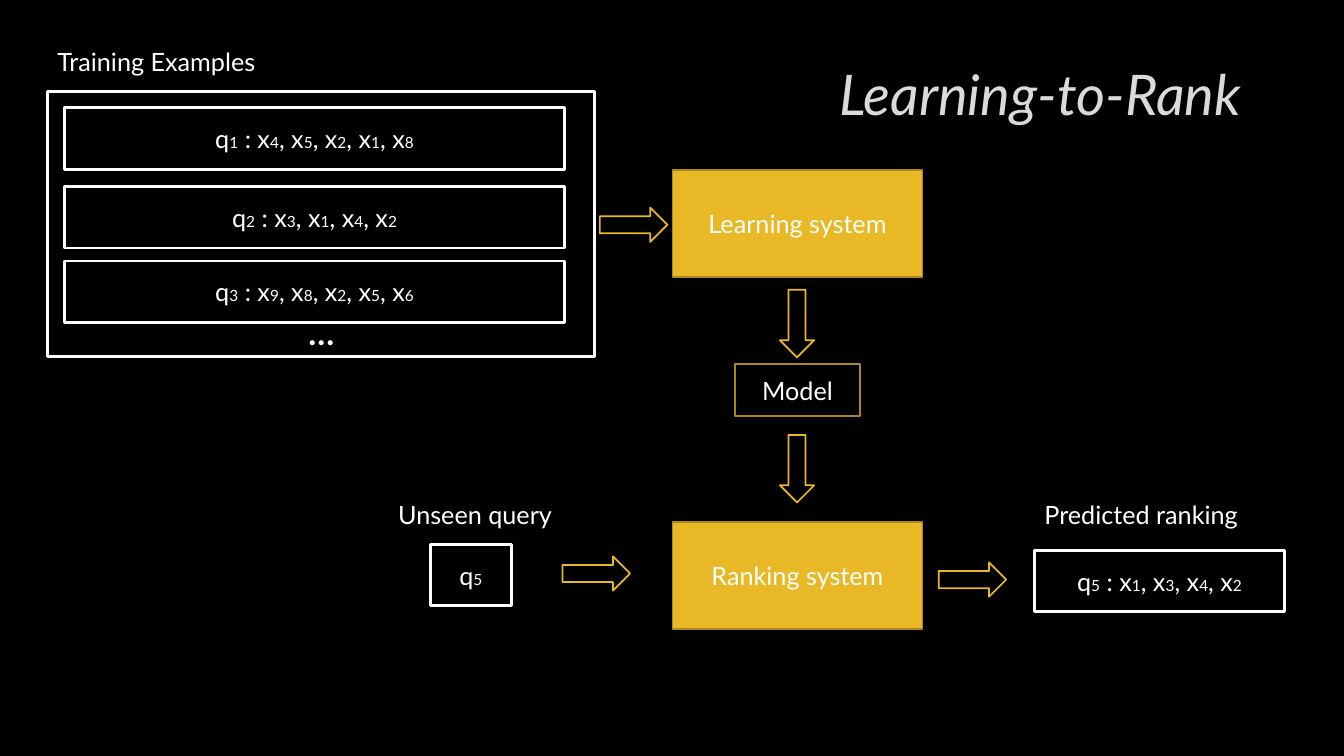
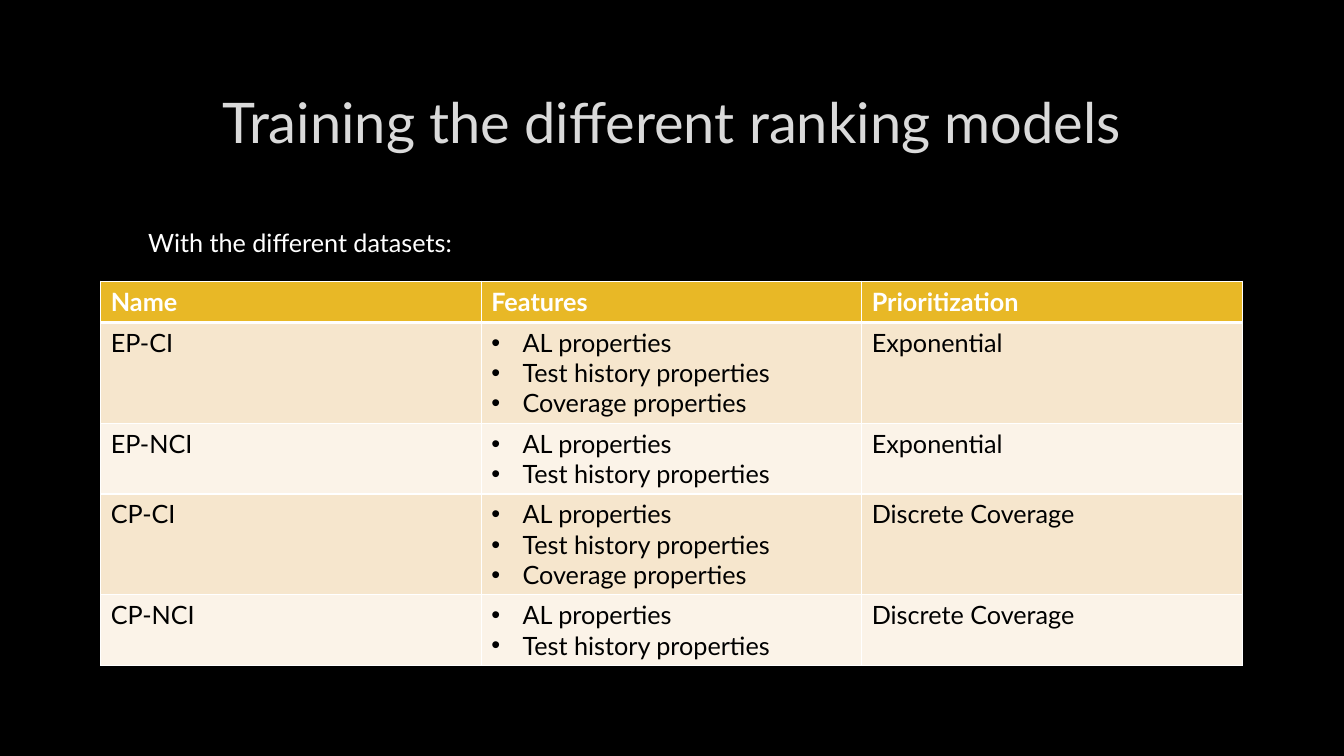
from itertools import groupby

from lxml import etree
from pptx import Presentation
from pptx.dml.color import RGBColor
from pptx.enum.shapes import MSO_SHAPE
from pptx.enum.text import MSO_ANCHOR, MSO_AUTO_SIZE, PP_ALIGN
from pptx.oxml.ns import qn
from pptx.util import Pt

PX = 9144
SLIDE_WIDTH, SLIDE_HEIGHT = 1333, 750
RECTANGLE, ARROW = MSO_SHAPE.RECTANGLE, MSO_SHAPE.RIGHT_ARROW
MIDDLE, FIT_SHAPE = MSO_ANCHOR.MIDDLE, MSO_AUTO_SIZE.SHAPE_TO_FIT_TEXT
LEFT, CENTER, RIGHT = PP_ALIGN.LEFT, PP_ALIGN.CENTER, PP_ALIGN.RIGHT
TITLE_ONLY = 5

FONT = "Lato"
BLACK, WHITE, GOLD, DARK_GOLD = "000000", "FFFFFF", "E8B826", "AC881C"
TITLE_GREY, OUTLINE_GREY = "DADADA", "404040"
BANDS = ("F6E6CD", "FBF3E8")
TEXT_SIZE, INDEX_SIZE, TITLE_SIZE, DOTS_SIZE = 18, 11, 40, 24
WHITE_FRAME = {"line": WHITE, "weight": 2}
GOLD_FRAME = {"line": DARK_GOLD, "weight": 1.25}
ARROW_WIDTH, ARROW_HEIGHT = 67, 34
LABEL_WIDTH, LABEL_HEIGHT = 232, 40
SYSTEM_WIDTH, SYSTEM_HEIGHT = 248, 106
FORMULA_HEIGHT = 61
BULLET_INDENT = 31

EXAMPLES = {
    66: "q1 : x4, x5, x2, x1, x8",
    144: "q2 : x3, x1, x4, x2",
    218: "q3 : x9, x8, x2, x5, x6",
}
HEADINGS = ("Name", "Features", "Prioritization")
FEATURES = ("AL properties", "Test history properties", "Coverage properties")
DATASETS = (
    ("EP-CI", FEATURES, "Exponential"),
    ("EP-NCI", FEATURES[:2], "Exponential"),
    ("CP-CI", FEATURES, "Discrete Coverage"),
    ("CP-NCI", FEATURES[:2], "Discrete Coverage"),
)


def color(value):
    """Turn a hex string into a colour."""
    return RGBColor.from_string(value)


def assign(target, values):
    """Set every named attribute on the target."""
    for name, value in values.items():
        setattr(target, name, value)


def place(shape, left, top, width, height):
    """Move and size a shape given in px."""
    assign(shape, {"left": left * PX, "top": top * PX,
                   "width": width * PX, "height": height * PX})


def add_run(paragraph, text, size=TEXT_SIZE, ink=WHITE, **style):
    """Append a formatted run to a paragraph."""
    run = paragraph.add_run()
    run.text = text
    assign(run.font, {"name": FONT, "size": Pt(size), **style})
    run.font.color.rgb = color(ink)
    return run


def add_title(slide, text, box, align, **style):
    """Place the title placeholder and fill it with outlined text."""
    title = slide.shapes.title
    place(title, *box)
    assign(title.text_frame, {"vertical_anchor": MIDDLE, "word_wrap": True})
    paragraph = title.text_frame.paragraphs[0]
    paragraph.alignment = align
    run = add_run(paragraph, text, TITLE_SIZE, TITLE_GREY, **style)
    line = etree.Element(qn("a:ln"), w=str(Pt(0.75)))
    fill = etree.SubElement(line, qn("a:solidFill"))
    ink = etree.SubElement(fill, qn("a:srgbClr"), val=OUTLINE_GREY)
    etree.SubElement(ink, qn("a:alpha"), val="10000")
    run.font._element.insert(0, line)


def add_label(slide, text, left, top, width=LABEL_WIDTH, height=LABEL_HEIGHT, **style):
    """Add a left-aligned text box."""
    label = slide.shapes.add_textbox(0, 0, 0, 0)
    place(label, left, top, width, height)
    assign(label.text_frame, {"word_wrap": True, "auto_size": FIT_SHAPE})
    add_run(label.text_frame.paragraphs[0], text, **style)


def add_outline(slide, kind, box, line, weight, fill=None):
    """Add a preset shape with a coloured line and an optional fill."""
    shape = slide.shapes.add_shape(kind, 0, 0, 0, 0)
    place(shape, *box)
    shape.shadow.inherit = False
    shape.line.color.rgb = color(line)
    shape.line.width = Pt(weight)
    if fill:
        shape.fill.solid()
        shape.fill.fore_color.rgb = color(fill)
    else:
        shape.fill.background()
    return shape


def add_text_box(slide, text, box, frame, fill=None, small_digits=False):
    """Add a framed rectangle with centred text, its digits small if asked."""
    shape = add_outline(slide, RECTANGLE, box, fill=fill, **frame)
    assign(shape.text_frame, {"vertical_anchor": MIDDLE, "word_wrap": True})
    paragraph = shape.text_frame.paragraphs[0]
    paragraph.alignment = CENTER
    for is_digit, letters in groupby(text, str.isdigit):
        size = INDEX_SIZE if small_digits and is_digit else TEXT_SIZE
        add_run(paragraph, "".join(letters), size)


def add_formula(slide, text, left, top, width):
    """Add a white frame holding a query and its ranked items."""
    box = (left, top, width, FORMULA_HEIGHT)
    add_text_box(slide, text, box, WHITE_FRAME, small_digits=True)


def add_arrow(slide, left, top, rotation=0):
    """Add a hollow gold block arrow."""
    box = (left, top, ARROW_WIDTH, ARROW_HEIGHT)
    add_outline(slide, ARROW, box, GOLD, 1.25).rotation = rotation


def add_training_examples(slide, left, top, width, height):
    """Draw the labelled frame of training examples."""
    add_label(slide, "Training Examples", left, top)
    add_outline(slide, RECTANGLE, (left, top + 50, width, height - 50), **WHITE_FRAME)
    for offset, text in EXAMPLES.items():
        add_formula(slide, text, left + 17, top + offset, width - 47)
    add_label(slide, "…", left + 249, top + 264, 211, 50, size=DOTS_SIZE, bold=True)


def add_pipeline(slide, left, top, height):
    """Draw the learning system, the model and the ranking system."""
    systems = {"Learning system": top, "Ranking system": top + height - SYSTEM_HEIGHT}
    for text, system_top in systems.items():
        box = (left, system_top, SYSTEM_WIDTH, SYSTEM_HEIGHT)
        add_text_box(slide, text, box, GOLD_FRAME, GOLD)
    model_width = SYSTEM_WIDTH // 2
    model_box = (left + model_width // 2, top + 192, model_width, 52)
    add_text_box(slide, "Model", model_box, GOLD_FRAME)
    for offset in (135, 279):
        add_arrow(slide, left + (SYSTEM_WIDTH - ARROW_WIDTH) // 2, top + offset, 90)


def add_unseen_query(slide, left, top):
    """Draw the labelled query that enters the ranking system."""
    add_label(slide, "Unseen query", left, top)
    add_formula(slide, "q5", left + 42, top + 50, 80)
    add_arrow(slide, left + 173, top + 62)


def add_predicted_ranking(slide, left, top):
    """Draw the labelled ranking that leaves the ranking system."""
    add_arrow(slide, left - 95, top + 68)
    add_label(slide, "Predicted ranking", left, top)
    add_formula(slide, "q5 : x1, x3, x4, x2", left, top + 56, SYSTEM_WIDTH)


def add_borders(cell, **weights):
    """Give a cell white borders of the stated widths."""
    properties = cell._tc.get_or_add_tcPr()
    for index, (side, weight) in enumerate(weights.items()):
        line = etree.Element(qn(f"a:ln{side}"), w=str(Pt(weight)))
        fill = etree.SubElement(line, qn("a:solidFill"))
        etree.SubElement(fill, qn("a:srgbClr"), val=WHITE)
        properties.insert(index, line)


def add_bullet(paragraph):
    """Give a paragraph a hanging bullet."""
    properties = paragraph._p.get_or_add_pPr()
    properties.set("marL", str(BULLET_INDENT * PX))
    properties.set("indent", str(-BULLET_INDENT * PX))
    etree.SubElement(properties, qn("a:buFont"), typeface="Arial")
    etree.SubElement(properties, qn("a:buChar"), char="•")


def fill_cell(cell, content, row):
    """Fill a table cell with one line or a bulleted list."""
    is_heading = row == 0
    cell.fill.solid()
    cell.fill.fore_color.rgb = color(GOLD if is_heading else BANDS[(row - 1) % 2])
    add_borders(cell, L=1, R=1, T=3 if row == 1 else 1, B=3 if is_heading else 1)
    is_list = not isinstance(content, str)
    frame = cell.text_frame
    for index, text in enumerate(content if is_list else (content,)):
        paragraph = frame.add_paragraph() if index else frame.paragraphs[0]
        paragraph.alignment = LEFT
        if is_list:
            add_bullet(paragraph)
        add_run(paragraph, text, ink=WHITE if is_heading else BLACK, bold=is_heading)


def add_dataset_table(slide, left, top, width):
    """Draw the table of datasets, each row as tall as its feature list."""
    rows = (HEADINGS, *DATASETS)
    heights = [41] + [10 + 30 * len(features) for _, features, _ in DATASETS]
    graphic = slide.shapes.add_table(len(rows), len(HEADINGS), left * PX, top * PX,
                                     width * PX, sum(heights) * PX)
    table = graphic.table
    for row, (contents, height) in enumerate(zip(rows, heights)):
        table.rows[row].height = height * PX
        for column, content in enumerate(contents):
            fill_cell(table.cell(row, column), content, row)


def build_diagram_slide(slide):
    """Build the learning-to-rank diagram."""
    add_title(slide, "Learning-to-Rank", (109, 39, 1132, 106), RIGHT, italic=True)
    add_training_examples(slide, 47, 41, 543, 313)
    add_arrow(slide, 595, 206)
    add_pipeline(slide, 667, 169, 455)
    add_unseen_query(slide, 385, 490)
    add_predicted_ranking(slide, 1026, 490)


def build_dataset_slide(slide):
    """Build the slide that lists the datasets."""
    add_title(slide, "Training the different ranking models", (100, 67, 1132, 106), CENTER)
    add_label(slide, "With the different datasets:", 137, 221, 1096)
    add_dataset_table(slide, 100, 279, 1132)


def main():
    """Build and save the presentation."""
    presentation = Presentation()
    assign(presentation, {"slide_width": SLIDE_WIDTH * PX, "slide_height": SLIDE_HEIGHT * PX})
    background = presentation.slide_master.background.fill
    background.solid()
    background.fore_color.rgb = color(BLACK)
    for build in (build_diagram_slide, build_dataset_slide):
        build(presentation.slides.add_slide(presentation.slide_layouts[TITLE_ONLY]))
    presentation.save("out.pptx")


if __name__ == "__main__":
    main()
